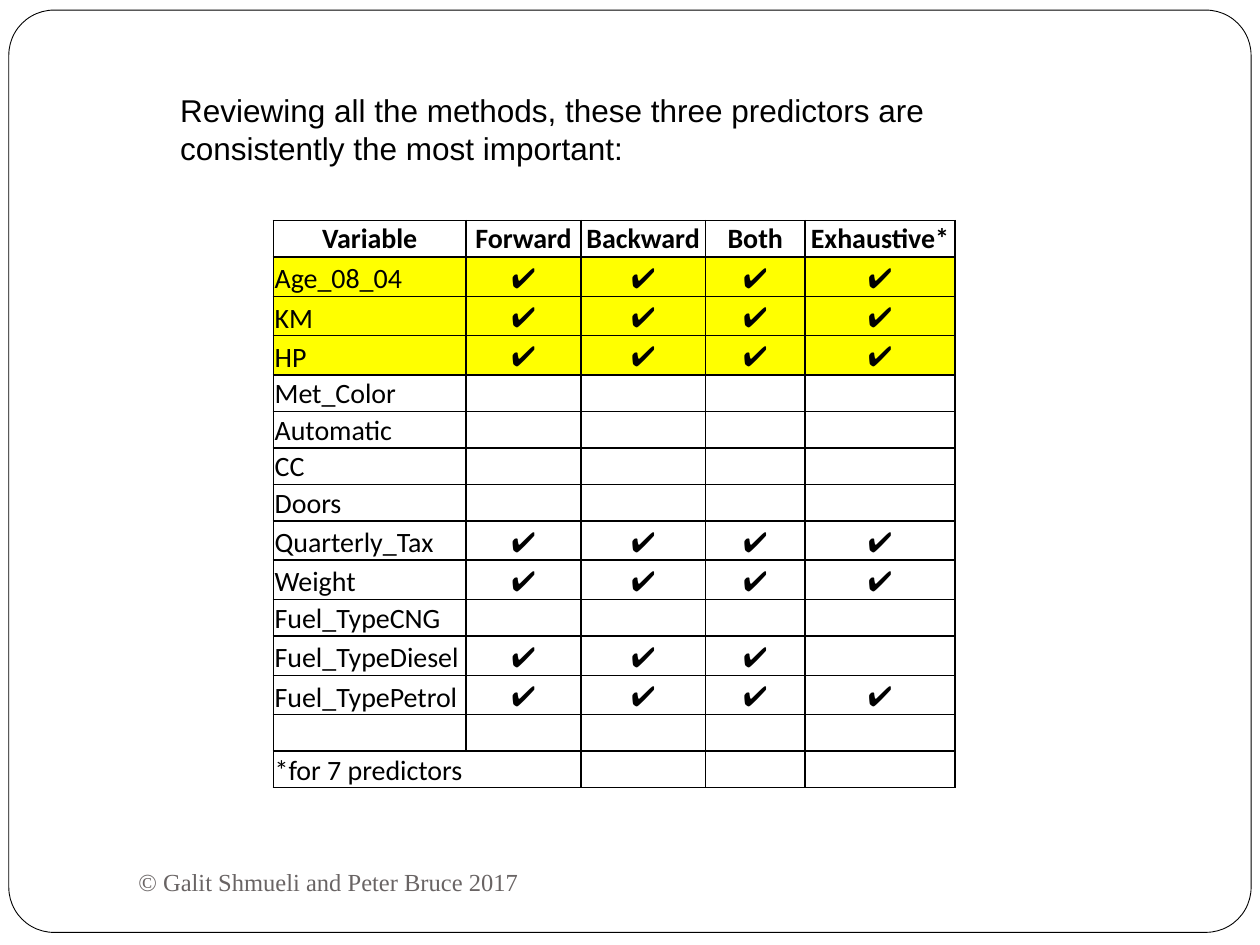
from dataclasses import dataclass

from lxml import etree
from pptx import Presentation
from pptx.dml.color import RGBColor
from pptx.enum.shapes import MSO_SHAPE
from pptx.enum.text import MSO_ANCHOR, PP_ALIGN
from pptx.oxml.ns import qn
from pptx.util import Inches, Pt

ROUNDED = MSO_SHAPE.ROUNDED_RECTANGLE
TOP, MIDDLE, BOTTOM = MSO_ANCHOR.TOP, MSO_ANCHOR.MIDDLE, MSO_ANCHOR.BOTTOM
LEFT, CENTER = PP_ALIGN.LEFT, PP_ALIGN.CENTER
TITLE_ONLY_LAYOUT = 5


@dataclass(frozen=True)
class Theme:
    """Colours, fonts and type sizes of the slide."""

    ink: str = "000000"
    paper: str = "FFFFFF"
    highlight: str = "FFFF00"
    muted: str = "696464"
    heading_font: str = "Arial"
    table_font: str = "Calibri"
    check_font: str = "Open Sans"
    footer_font: str = "Times New Roman"
    heading_size: int = 18
    table_size: int = 16
    footer_size: int = 14


THEME = Theme()
CHECK = "✔"
HEADING = "Reviewing all the methods, these three predictors are consistently the most important:"
FOOTER = "© Galit Shmueli and Peter Bruce 2017"
FOOTNOTE = "*for 7 predictors"
HEADERS = ["Variable", "Forward", "Backward", "Both", "Exhaustive*"]
CHECK_COUNTS = {
    "Age_08_04": 4,
    "KM": 4,
    "HP": 4,
    "Met_Color": 0,
    "Automatic": 0,
    "CC": 0,
    "Doors": 0,
    "Quarterly_Tax": 4,
    "Weight": 4,
    "Fuel_TypeCNG": 0,
    "Fuel_TypeDiesel": 3,
    "Fuel_TypePetrol": 4,
}
KEY_PREDICTORS = {"Age_08_04", "KM", "HP"}
COLUMN_WIDTHS = [1.53, 0.91, 0.99, 0.79, 1.19]
ROW_HEIGHT = 0.29


def style_paragraph(paragraph, font_name, size, color=THEME.ink, bold=False, align=LEFT):
    """Set the font and alignment of one paragraph."""
    paragraph.alignment = align
    paragraph.font.name = font_name
    paragraph.font.size = Pt(size)
    paragraph.font.bold = bold
    paragraph.font.color.rgb = RGBColor.from_string(color)


def add_frame(slide):
    """Draw the rounded page outline behind everything else."""
    frame = slide.shapes.add_shape(ROUNDED, Inches(0.07), Inches(0.08), Inches(9.86), Inches(7.32))
    frame.adjustments[0] = 0.049
    frame.shadow.inherit = False
    frame.fill.solid()
    frame.fill.fore_color.rgb = RGBColor.from_string(THEME.paper)
    frame.line.color.rgb = RGBColor.from_string(THEME.ink)
    frame.line.width = Pt(0.5)
    slide.shapes._spTree.insert(2, frame._element)


def add_heading(slide):
    """Fill and place the title placeholder."""
    title = slide.shapes.title
    title.left, title.top = Inches(1.33), Inches(0.67)
    title.width, title.height = Inches(7.33), Inches(0.71)
    title.text_frame.text = HEADING
    title.text_frame.word_wrap = True
    title.text_frame.vertical_anchor = TOP
    style_paragraph(title.text_frame.paragraphs[0], THEME.heading_font, THEME.heading_size)


def add_footer(slide):
    """Add the copyright line at the bottom."""
    footer = slide.shapes.add_textbox(Inches(1), Inches(6.75), Inches(4.33), Inches(0.5))
    footer.text_frame.text = FOOTER
    footer.text_frame.word_wrap = True
    footer.text_frame.vertical_anchor = MIDDLE
    style_paragraph(footer.text_frame.paragraphs[0], THEME.footer_font, THEME.footer_size, THEME.muted)


def add_borders(cell):
    """Give a cell thin lines on all four sides."""
    properties = cell._tc.get_or_add_tcPr()
    for position, side in enumerate(("lnL", "lnR", "lnT", "lnB")):
        line = etree.Element(qn(f"a:{side}"), w=str(Pt(1)))
        fill = etree.SubElement(line, qn("a:solidFill"))
        etree.SubElement(fill, qn("a:srgbClr"), val=THEME.ink)
        properties.insert(position, line)


def format_cell(cell, text, header=False, highlighted=False):
    """Write and format one table cell."""
    cell.margin_left = cell.margin_right = cell.margin_top = Inches(0.01)
    cell.margin_bottom = 0
    cell.vertical_anchor = MIDDLE if header else BOTTOM
    if highlighted:
        cell.fill.solid()
        cell.fill.fore_color.rgb = RGBColor.from_string(THEME.highlight)
    else:
        cell.fill.background()
    add_borders(cell)
    paragraph = cell.text_frame.paragraphs[0]
    font_name = THEME.check_font if text == CHECK else THEME.table_font
    align = CENTER if header or text == CHECK else LEFT
    style_paragraph(paragraph, font_name, THEME.table_size, bold=header or text == CHECK, align=align)
    if text:
        paragraph.add_run().text = text
    else:
        etree.SubElement(paragraph._p, qn("a:endParaRPr"), sz=str(THEME.table_size * 100))


def table_rows():
    """Return the text of every row, padded to the column count."""
    rows = [HEADERS]
    rows += [[name] + [CHECK] * count for name, count in CHECK_COUNTS.items()]
    rows += [[], [FOOTNOTE]]
    return [row + [""] * (len(HEADERS) - len(row)) for row in rows]


def add_predictor_table(slide):
    """Add the table of predictors chosen by each method."""
    rows = table_rows()
    table = slide.shapes.add_table(
        len(rows), len(HEADERS), Inches(2.17), Inches(1.75),
        Inches(sum(COLUMN_WIDTHS)), Inches(ROW_HEIGHT * len(rows)),
    ).table
    table.first_row = table.horz_banding = False
    for column, width in zip(table.columns, COLUMN_WIDTHS):
        column.width = Inches(width)
    for row_index, row in enumerate(rows):
        table.rows[row_index].height = Inches(ROW_HEIGHT)
        for column_index, text in enumerate(row):
            format_cell(table.cell(row_index, column_index), text, row_index == 0, row[0] in KEY_PREDICTORS)
    last_row = len(rows) - 1
    table.cell(last_row, 0).merge(table.cell(last_row, 1))


def main():
    """Build and save the slide."""
    presentation = Presentation()
    presentation.slide_width, presentation.slide_height = Inches(10), Inches(7.5)
    slide = presentation.slides.add_slide(presentation.slide_layouts[TITLE_ONLY_LAYOUT])
    add_frame(slide)
    add_predictor_table(slide)
    add_heading(slide)
    add_footer(slide)
    presentation.save("out.pptx")


if __name__ == "__main__":
    main()
